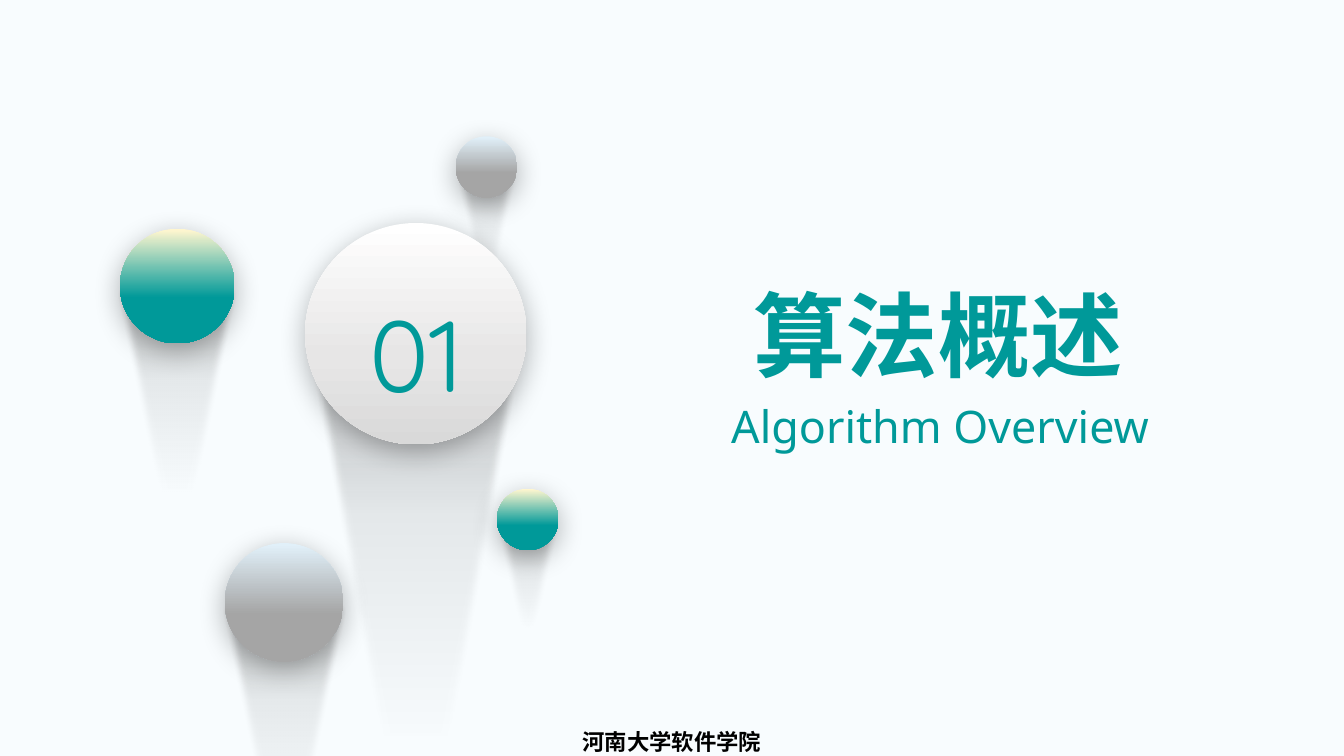
from lxml import etree
from pptx import Presentation
from pptx.dml.color import RGBColor
from pptx.enum.shapes import MSO_SHAPE as SHAPE
from pptx.enum.text import MSO_ANCHOR as ANCHOR, MSO_AUTO_SIZE as FIT, PP_ALIGN as ALIGN
from pptx.oxml import parse_xml
from pptx.oxml.ns import nsdecls, qn
from pptx.util import Cm, Pt

COLORS = {"bg": "F8FCFE", "teal": "009999", "black": "000000", "cream": "FFF6CF",
          "sky": "E1F0F9", "grey": "A5A5A5", "white": "FFFFFF", "silver": "E7E6E6",
          "ash": "D9D9D9", "smoke": "262626"}
GREY = [(1, "sky", 100), (60, "grey", 100), (100, "grey", 100)]
TEAL = [(1, "cream", 100), (60, "teal", 100), (100, "teal", 100)]
PEARL = [(0, "white", 100), (60, "silver", 100), (100, "ash", 100)]
FADE = [(30, "black", 0), (50, "black", 4), (70, "black", 8), (100, "smoke", 30)]
SHADOW = (f'<a:outerShdw blurRad="{Pt(20)}" dist="{Pt(5)}" dir="5400000" algn="t" '
          f'rotWithShape="0"><a:srgbClr val="{COLORS["black"]}"><a:alpha val="30000"/>'
          '</a:srgbClr></a:outerShdw>')
SOFT_EDGE = f'<a:softEdge rad="{Pt(5)}"/>'
TAIL = [(-0.5, 0), (-0.33, 0.33), (-0.04, 1), (0, 1),
        (0.04, 1), (0.33, 0.33), (0.5, 0), (-0.5, 0)]


def style(sp, stops, effect):
    sp.shadow.inherit = False
    sp.line.fill.background()
    sp.fill.background()
    gs = "".join(f'<a:gs pos="{pos * 1000}"><a:srgbClr val="{COLORS[name]}">'
                 + (f'<a:alpha val="{alpha * 1000}"/>' if alpha < 100 else "")
                 + '</a:srgbClr></a:gs>' for pos, name, alpha in stops)
    grad = parse_xml(f'<a:gradFill {nsdecls("a")} rotWithShape="1"><a:gsLst>{gs}</a:gsLst>'
                     '<a:lin ang="5400000" scaled="0"/></a:gradFill>')
    spPr = sp._element.spPr
    spPr.replace(spPr.find(qn("a:noFill")), grad)
    spPr.replace(spPr.find(qn("a:effectLst")),
                 parse_xml(f'<a:effectLst {nsdecls("a")}>{effect}</a:effectLst>'))


def write(p, text, size, font, color, bold=False):
    r = p.add_run()
    r.text = text
    r.font.size = Pt(size)
    r.font.name = font
    r.font.bold = bold
    r.font.color.rgb = RGBColor.from_string(COLORS[color])
    latin = r._r.rPr.find(qn("a:latin"))
    latin.addnext(etree.Element(qn("a:ea"), typeface=font))


prs = Presentation()
prs.slide_width, prs.slide_height = Cm(33.87), Cm(19.05)
s = prs.slides.add_slide(prs.slide_layouts[6])
s.background.fill.solid()
s.background.fill.fore_color.rgb = RGBColor.from_string(COLORS["bg"])

box = s.shapes.add_textbox(Cm(12.54), Cm(18.23), Cm(8.79), Cm(0.84))
p = box.text_frame.paragraphs[0]
box.text_frame.word_wrap = True
p.alignment = ALIGN.CENTER
write(p, "河南大学软件学院", 16, "DejaVu Sans", "black", True)

balls = [
    (12.26, 4.21, 1.55, 1.73, 4.22, GREY, ""),
    (10.48, 8.41, 5.58, 5.64, 15.09, PEARL, "01"),
    (7.16, 15.18, 2.99, 3.33, 8.13, GREY, ""),
    (13.3, 13.09, 1.55, 1.73, 4.22, TEAL, ""),
    (4.47, 7.21, 2.89, 3.2, 7.85, TEAL, ""),
]
for cx, cy, size, width, height, stops, label in balls:
    group = s.shapes.add_group_shape()
    outline = [(Cm(cx + fx * width), Cm(cy + height * (1 - fy))) for fx, fy in TAIL]
    builder = group.shapes.build_freeform(*outline[0])
    builder.add_line_segments(outline[1:], close=True)
    sp = builder.convert_to_shape()
    lines = list(sp._element.iter(qn("a:lnTo")))
    for i in (0, 3):
        curve = etree.Element(qn("a:cubicBezTo"))
        lines[i].addprevious(curve)
        for line in lines[i:i + 3]:
            curve.append(line[0])
            line.getparent().remove(line)
    sp.rotation = 180
    style(sp, FADE, SOFT_EDGE)

    sp = group.shapes.add_shape(SHAPE.OVAL, Cm(cx - size / 2), Cm(cy - size / 2),
                                Cm(size), Cm(size))
    style(sp, stops, SHADOW)
    if label:
        sp.text_frame.vertical_anchor = ANCHOR.MIDDLE
        p = sp.text_frame.paragraphs[0]
        p.alignment = ALIGN.CENTER
        p.line_spacing = 1.3
        write(p, label, 72, "Quicksand", "teal")

titles = [
    (18.74, 6.87, 9.91, 3.07, "算法概述", 66, True, ALIGN.LEFT, ANCHOR.BOTTOM),
    (17.55, 9.93, 12.29, 1.63, "Algorithm Overview", 32, False, ALIGN.CENTER, ANCHOR.TOP),
]
for x, y, w, h, text, size, bold, align, anchor in titles:
    box = s.shapes.add_textbox(Cm(x), Cm(y), Cm(w), Cm(h))
    tf = box.text_frame
    tf.word_wrap = not bold
    tf.auto_size = FIT.SHAPE_TO_FIT_TEXT
    tf.vertical_anchor = anchor
    p = tf.paragraphs[0]
    p.alignment = align
    write(p, text, size, "Noto Sans", "teal", bold)

prs.save("out.pptx")
